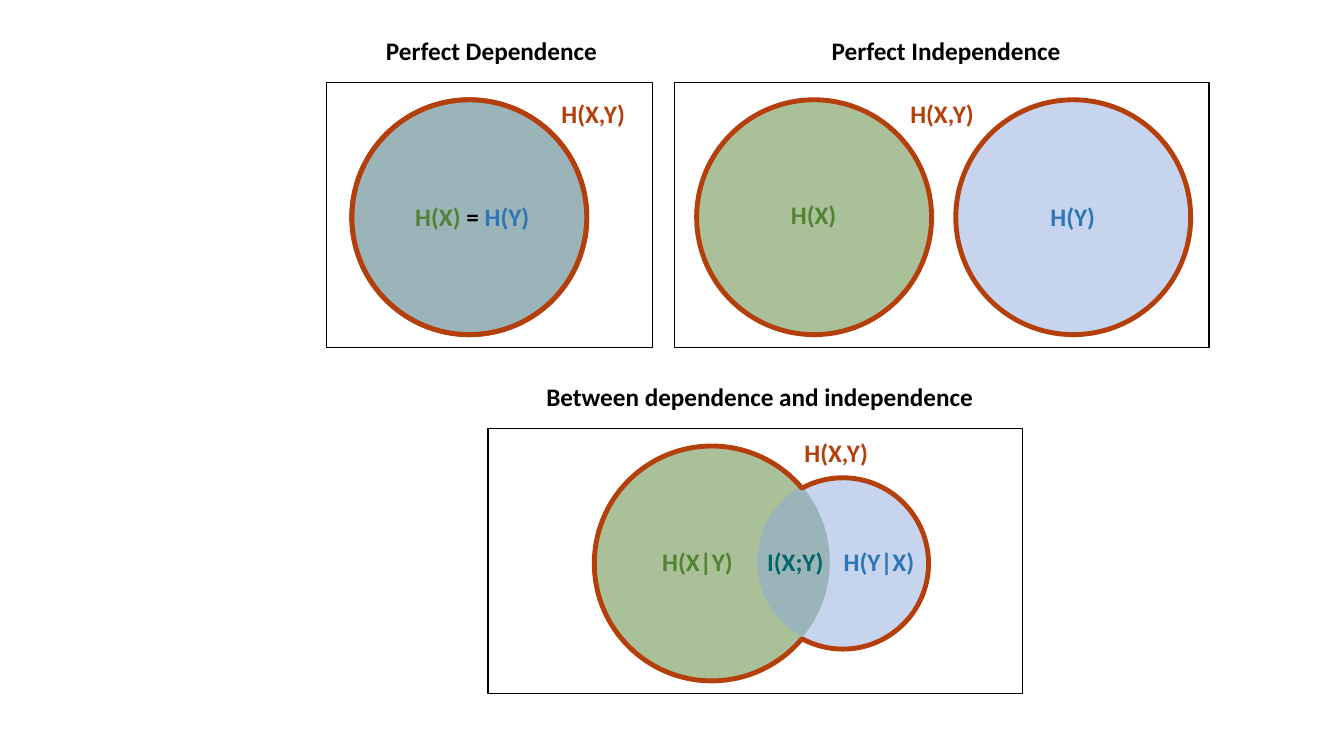
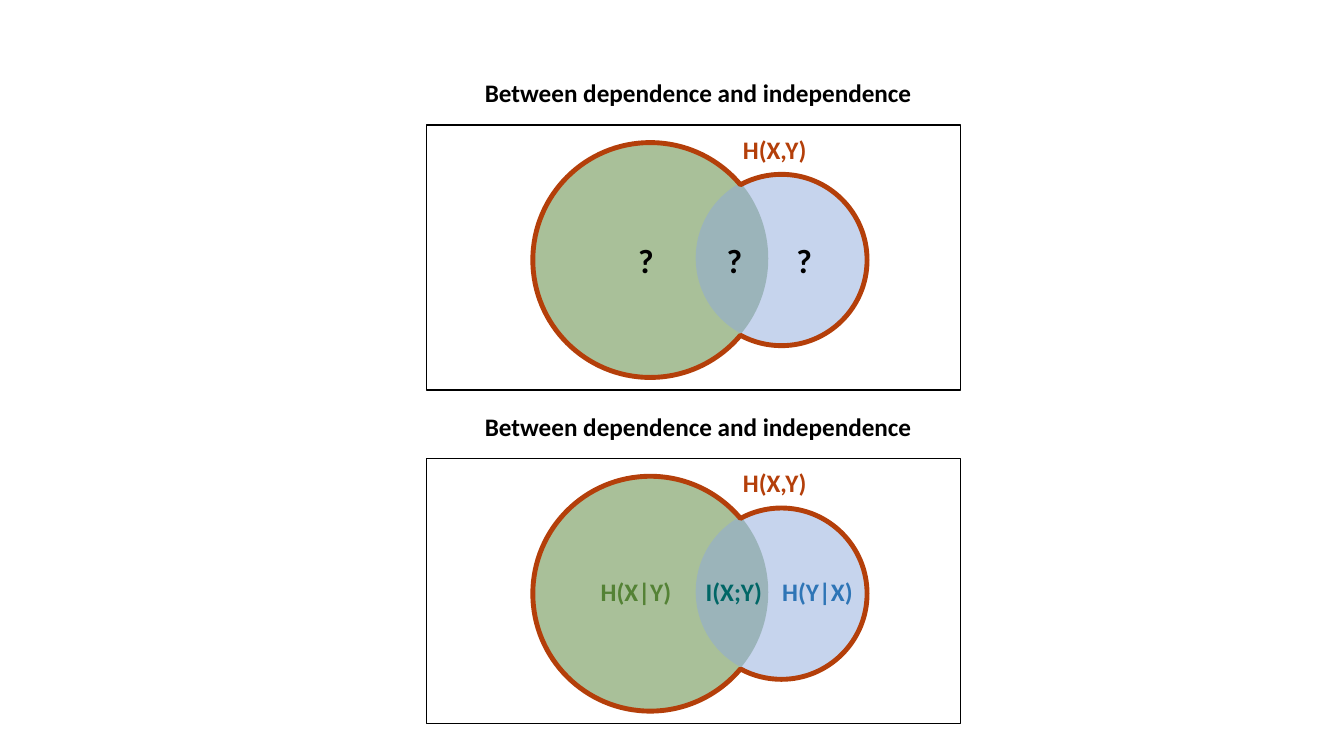
"""Build two slides of Venn diagrams on entropy and mutual information."""
from itertools import pairwise
from math import acos, cos, degrees, radians, sin, tan

from lxml import etree
from pptx import Presentation
from pptx.dml.color import RGBColor
from pptx.enum.shapes import MSO_SHAPE
from pptx.enum.text import MSO_AUTO_SIZE, PP_ALIGN
from pptx.oxml.ns import qn
from pptx.util import Pt

PX = 9144
OVAL, RECT = MSO_SHAPE.OVAL, MSO_SHAPE.RECTANGLE
LEFT, CENTER = PP_ALIGN.LEFT, PP_ALIGN.CENTER
GROW = MSO_AUTO_SIZE.SHAPE_TO_FIT_TEXT

FONT = "Calibri"
BLACK, RUST, TEAL = "000000", "B43F0A", "006666"
GREEN, BLUE, PALE_BLUE = "548235", "2E75B6", "8FAADC"
FRAME_W, FRAME_H = 530, 263
BIG, SMALL = 233, 170


def style_shape(shape, fill=None, line=None, width=1):
    """Give a shape a half-transparent fill and a plain line, or neither."""
    shape.shadow.inherit = False
    if fill:
        shape.fill.solid()
        shape.fill.fore_color.rgb = RGBColor.from_string(fill)
        color = shape.fill._xPr.find(qn("a:solidFill"))[0]
        etree.SubElement(color, qn("a:alpha"), val="50000")
    else:
        shape.fill.background()
    if line:
        shape.line.color.rgb = RGBColor.from_string(line)
        shape.line.width = Pt(width)
    else:
        shape.line.fill.background()


def add_text(page, left, top, width, *spans, height=40, size=18, align=LEFT):
    """Add one bold line made of (text, colour) spans."""
    box = page.shapes.add_textbox(left * PX, top * PX, width * PX, height * PX)
    box.text_frame.word_wrap = True
    box.text_frame.auto_size = GROW
    para = box.text_frame.paragraphs[0]
    para.alignment = align
    for text, color in spans:
        span = para.add_run()
        span.text = text
        span.font.name = FONT
        span.font.size = Pt(size)
        span.font.bold = True
        span.font.color.rgb = RGBColor.from_string(color)


deck = Presentation()
deck.slide_width, deck.slide_height = 1333 * PX, 750 * PX
first, second = [deck.slides.add_slide(deck.slide_layouts[6]) for _ in range(2)]

for left, fill in ((691, GREEN), (948, PALE_BLUE), (349, GREEN), (349, PALE_BLUE)):
    circle = first.shapes.add_shape(OVAL, left * PX, 99 * PX, BIG * PX, BIG * PX)
    style_shape(circle, fill, RUST, 3.5)
for left, width in ((669, FRAME_W), (324, 323)):
    frame = first.shapes.add_shape(RECT, left * PX, 82 * PX, width * PX, FRAME_H * PX)
    style_shape(frame, line=BLACK)

for left in (547, 893):
    add_text(first, left, 93, 86, ("H(X,Y)", RUST))
add_text(first, 1029, 195, 70, ("H(Y)", BLUE), align=CENTER)
add_text(first, 772, 193, 70, ("H(X)", GREEN), align=CENTER)
add_text(first, 402, 195, 146, ("H(X) ", GREEN), ("= ", BLACK), ("H(Y)", BLUE))
add_text(first, 373, 30, 239, ("Perfect Dependence", BLACK))
add_text(first, 815, 30, 271, ("Perfect Independence", BLACK))

answers = [(267, 111, "I(X;Y)", TEAL),
           (163, 97, "H(X|Y)", GREEN),
           (343, 97, "H(Y|X)", BLUE)]
questions = [(left, 33, "?", BLACK) for left in (288, 357, 200)]
answer_format = {"size": 18, "height": 40}
question_format = {"size": 24, "height": 50}

big_x, small_x, center_y = 222, 352, 134
big_r, small_r, gap = BIG / 2, SMALL / 2, small_x - big_x
big_cut = degrees(acos((gap**2 + big_r**2 - small_r**2) / (2 * gap * big_r)))
small_cut = 180 - degrees(acos((gap**2 + small_r**2 - big_r**2) / (2 * gap * small_r)))
arcs = ((big_x, big_r, (big_cut, 90, 180, 270, 360 - big_cut)),
        (small_x, small_r, (-small_cut, -90, 0, 90, small_cut)))
union = [(big_x + big_r * cos(radians(big_cut)), center_y + big_r * sin(radians(big_cut)))]
for center_x, radius, stops in arcs:
    for start, end in pairwise(map(radians, stops)):
        reach = 4 / 3 * tan((end - start) / 4)
        for angle, pull in ((start, reach), (end, -reach), (end, 0)):
            union.append((center_x + radius * (cos(angle) - pull * sin(angle)),
                          center_y + radius * (sin(angle) + pull * cos(angle))))

for page, left, top, label_top, labels, label_format in (
        (first, 484, 425, 112, answers, answer_format),
        (second, 423, 124, 109, questions, question_format),
        (second, 423, 455, 112, answers, answer_format)):
    for x, y, size, fill in ((106, 16, BIG, GREEN), (267, 47, SMALL, PALE_BLUE)):
        circle = page.shapes.add_shape(
            OVAL, (left + x) * PX, (top + y) * PX, size * PX, size * PX)
        style_shape(circle, fill)
    frame = page.shapes.add_shape(
        RECT, left * PX, top * PX, FRAME_W * PX, FRAME_H * PX)
    style_shape(frame, line=BLACK)
    add_text(page, left + 304, top + 4, 86, ("H(X,Y)", RUST))
    add_text(page, left + 48, top - 52, 524, ("Between dependence and independence", BLACK))

    points = [((left + x) * PX, (top + y) * PX) for x, y in union]
    builder = page.shapes.build_freeform(*points[0])
    builder.add_line_segments(points[1:], close=True)
    outline = builder.convert_to_shape()
    style_shape(outline, line=RUST, width=3.5)
    segments = list(outline._element.iter(qn("a:lnTo")))
    for index in range(0, len(points) - 1, 3):
        curve = etree.Element(qn("a:cubicBezTo"))
        segments[index].addprevious(curve)
        for segment in segments[index:index + 3]:
            curve.append(segment[0])
            segment.getparent().remove(segment)

    for x, width, text, color in labels:
        add_text(page, left + x, top + label_top, width, (text, color), **label_format)

deck.save("out.pptx")
